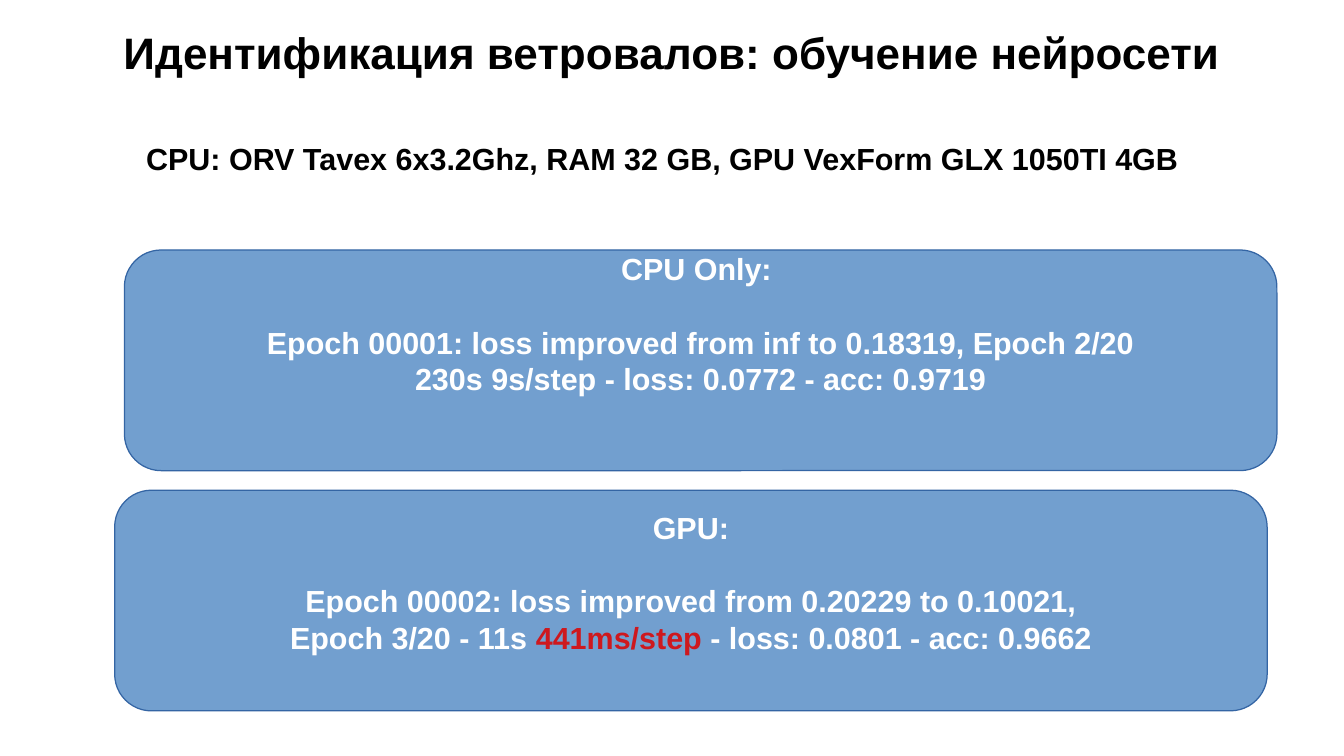
"""Build the slide comparing neural network training on CPU and GPU."""
from dataclasses import dataclass

from pptx import Presentation
from pptx.dml.color import RGBColor
from pptx.enum.shapes import MSO_SHAPE
from pptx.enum.text import MSO_ANCHOR, MSO_AUTO_SIZE, PP_ALIGN
from pptx.util import Inches, Pt

ROUNDED = MSO_SHAPE.ROUNDED_RECTANGLE
TOP, MIDDLE = MSO_ANCHOR.TOP, MSO_ANCHOR.MIDDLE
NO_FIT = MSO_AUTO_SIZE.NONE
LEFT, CENTER = PP_ALIGN.LEFT, PP_ALIGN.CENTER


@dataclass(frozen=True)
class Theme:
    font: str = "Arial"
    black: RGBColor = RGBColor(0x00, 0x00, 0x00)
    white: RGBColor = RGBColor(0xFF, 0xFF, 0xFF)
    red: RGBColor = RGBColor(0xCE, 0x18, 0x1E)
    card: RGBColor = RGBColor(0x72, 0x9F, 0xCF)
    outline: RGBColor = RGBColor(0x34, 0x65, 0xA4)
    title: Pt = Pt(26)
    body: Pt = Pt(18)
    gap: Pt = Pt(21.6)


THEME = Theme()


def setup_frame(tf, anchor=TOP, margin_bottom=0.05):
    tf.word_wrap = True
    tf.auto_size = NO_FIT
    tf.vertical_anchor = anchor
    tf.margin_left = tf.margin_right = Inches(0.1)
    tf.margin_top, tf.margin_bottom = Inches(0.05), Inches(margin_bottom)


def fill_paragraph(p, runs, size, align):
    p.alignment = align
    for text, color in runs:
        r = p.add_run()
        r.text = text
        r.font.name, r.font.size, r.font.bold = THEME.font, size, True
        r.font.color.rgb = color


prs = Presentation()
prs.slide_width, prs.slide_height = Inches(11.02), Inches(6.2)
s = prs.slides.add_slide(prs.slide_layouts[5])

title = s.shapes.title
title.left, title.top = Inches(0), Inches(0.16)
title.width, title.height = Inches(11.02), Inches(0.5)
setup_frame(title.text_frame)
fill_paragraph(title.text_frame.paragraphs[0],
               [("Идентификация ветровалов: обучение нейросети", THEME.black)],
               THEME.title, CENTER)

hardware = s.shapes.add_textbox(Inches(1.1), Inches(1.1), Inches(8.98), Inches(0.94))
setup_frame(hardware.text_frame)
fill_paragraph(hardware.text_frame.paragraphs[0],
               [("CPU: ORV Tavex 6x3.2Ghz, RAM 32 GB, GPU VexForm GLX 1050TI 4GB", THEME.black)],
               THEME.body, LEFT)

cards = [
    (1.02, 2.05, 0.65, [
        [("CPU Only: ", THEME.white)],
        [("Epoch 00001: loss improved from inf to 0.18319, Epoch 2/20", THEME.white)],
        [("230s 9s/step - loss: 0.0772 - acc: 0.9719", THEME.white)],
    ]),
    (0.94, 4.02, 0.35, [
        [("GPU:", THEME.white)],
        [("Epoch 00002: loss improved from 0.20229 to 0.10021,", THEME.white)],
        [("Epoch 3/20 - 11s ", THEME.white), ("441ms/step ", THEME.red),
         ("- loss: 0.0801 - acc: 0.9662", THEME.white)],
    ]),
]
for left, top, margin_bottom, lines in cards:
    card = s.shapes.add_shape(ROUNDED, Inches(left), Inches(top), Inches(9.45), Inches(1.81))
    card.shadow.inherit = False
    card.fill.solid()
    card.fill.fore_color.rgb = THEME.card
    card.line.color.rgb = THEME.outline
    card.line.width = Pt(0.75)
    tf = card.text_frame
    setup_frame(tf, MIDDLE, margin_bottom)
    for i, runs in enumerate(lines):
        p = tf.add_paragraph() if i else tf.paragraphs[0]
        fill_paragraph(p, runs, THEME.body, CENTER)
    tf.paragraphs[1].space_before = THEME.gap

prs.save("out.pptx")
